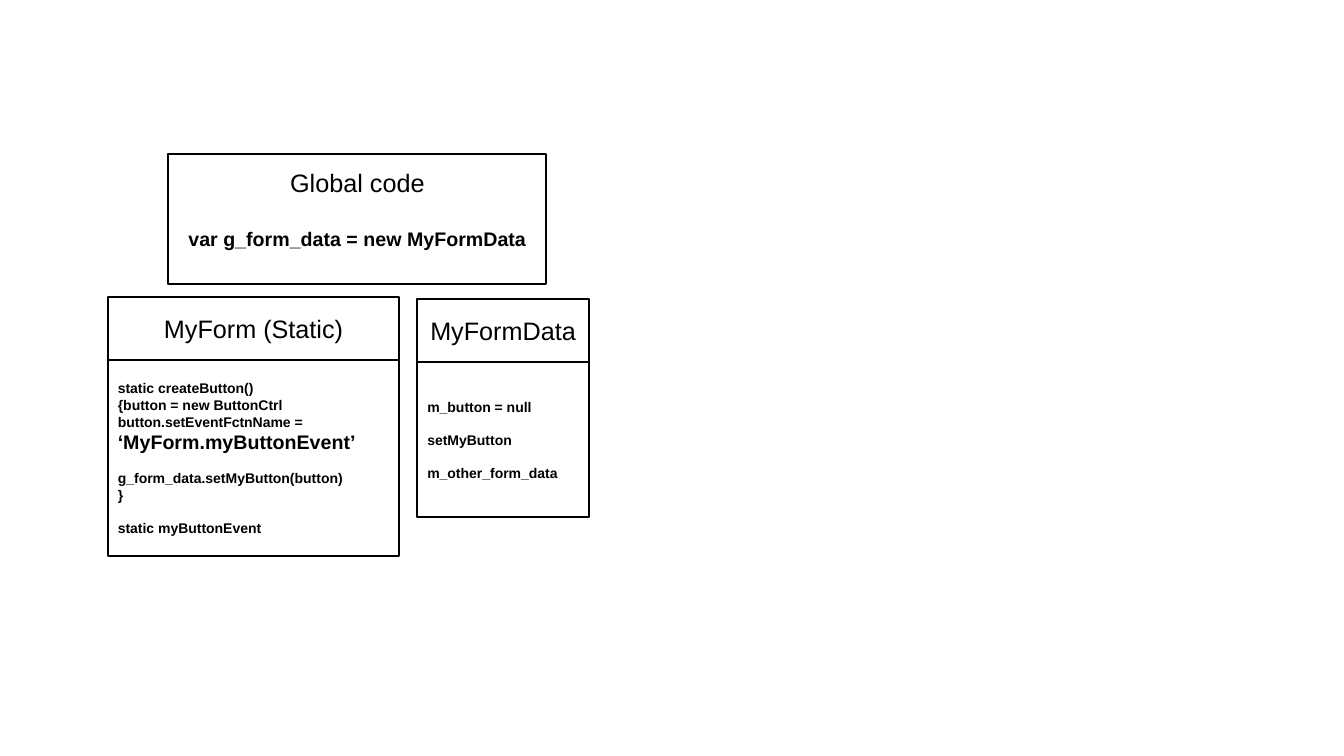
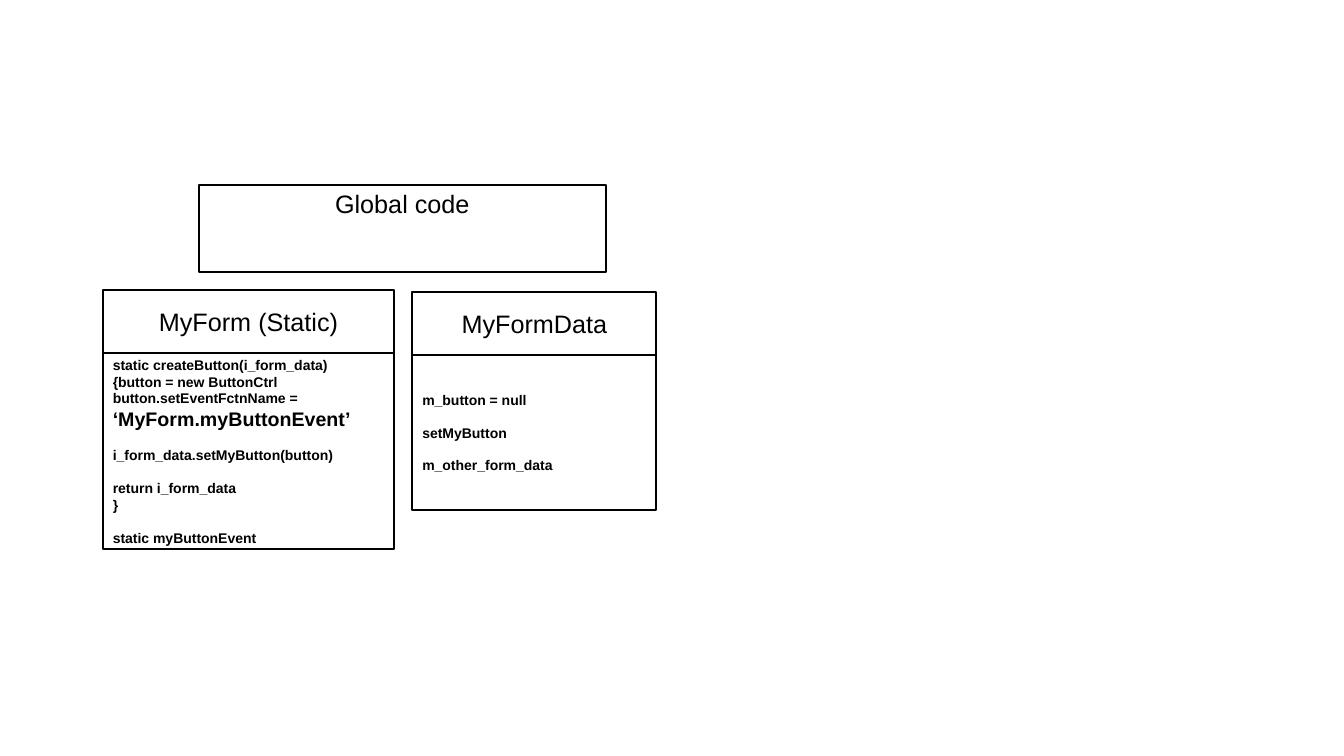
from dataclasses import dataclass

from pptx import Presentation
from pptx.dml.color import RGBColor
from pptx.enum.shapes import MSO_SHAPE
from pptx.enum.text import MSO_ANCHOR, PP_ALIGN
from pptx.util import Emu, Pt

PX = 9144


@dataclass(frozen=True)
class Theme:
    font: str = "Arial"
    ink: RGBColor = RGBColor(0, 0, 0)
    heading: int = 18
    statement: int = 14
    code: int = 10
    border: float = 1.5
    line_height: float = 1.15
    side_inset: int = 10
    edge_inset: int = 5


@dataclass(frozen=True)
class Box:
    left: int
    top: int
    width: int
    height: int


@dataclass(frozen=True)
class Line:
    text: str
    size: int
    bold: bool = True
    gap: float = 0


THEME = Theme()
HEADER_HEIGHT = 62
CLASS_GAP = 18
CLASS_DROP = 2
FORM_WIDTH, FORM_BODY = 289, 195
DATA_BODY = 154
BLANK_LINE = THEME.code * THEME.line_height


def px(length):
    return Emu(length * PX)


def heading(text):
    return Line(text, THEME.heading, bold=False)


def code(text, spaced=False):
    return Line(text, THEME.code, gap=BLANK_LINE if spaced else 0)


def add_panel(page, box, lines, align=PP_ALIGN.LEFT, anchor=MSO_ANCHOR.MIDDLE,
              top_inset=THEME.edge_inset):
    panel = page.shapes.add_shape(
        MSO_SHAPE.RECTANGLE, px(box.left), px(box.top), px(box.width), px(box.height))
    panel.shadow.inherit = False
    panel.fill.background()
    panel.line.color.rgb = THEME.ink
    panel.line.width = Pt(THEME.border)

    frame = panel.text_frame
    frame.word_wrap = True
    frame.vertical_anchor = anchor
    frame.margin_left = frame.margin_right = px(THEME.side_inset)
    frame.margin_top = px(top_inset)
    frame.margin_bottom = px(THEME.edge_inset)
    for index, line in enumerate(lines):
        para = frame.add_paragraph() if index else frame.paragraphs[0]
        para.alignment = align
        para.space_before = Pt(line.gap)
        span = para.add_run()
        span.text = line.text
        span.font.name = THEME.font
        span.font.size = Pt(line.size)
        span.font.bold = line.bold
        span.font.color.rgb = THEME.ink


def add_global_code(page, box, top_inset, statements=()):
    gap = THEME.heading * THEME.line_height
    lines = [heading("Global code")]
    lines += [Line(text, THEME.statement, gap=gap) for text in statements]
    add_panel(page, box, lines, PP_ALIGN.CENTER, MSO_ANCHOR.TOP, top_inset)


def add_class(page, box, name, members):
    header = Box(box.left, box.top, box.width, HEADER_HEIGHT)
    body = Box(box.left, box.top + HEADER_HEIGHT, box.width, box.height - HEADER_HEIGHT)
    add_panel(page, header, [heading(name)], PP_ALIGN.CENTER)
    add_panel(page, body, members)


def add_class_pair(page, left, top, data_width, create_button):
    form_box = Box(left, top, FORM_WIDTH, HEADER_HEIGHT + FORM_BODY)
    data_box = Box(left + FORM_WIDTH + CLASS_GAP, top + CLASS_DROP,
                   data_width, HEADER_HEIGHT + DATA_BODY)
    form_members = create_button + [code("static myButtonEvent", spaced=True)]
    data_members = [
        code("m_button = null"),
        code("setMyButton", spaced=True),
        code("m_other_form_data", spaced=True),
    ]
    add_class(page, form_box, "MyForm (Static)", form_members)
    add_class(page, data_box, "MyFormData", data_members)


def create_button_code(parameter, closing):
    return [
        code(f"static createButton({parameter})"),
        code("{button = new ButtonCtrl"),
        code("button.setEventFctnName ="),
        Line("‘MyForm.myButtonEvent’", THEME.statement),
    ] + closing + [code("}")]


def add_global_data_page(deck):
    page = deck.slides.add_slide(deck.slide_layouts[6])
    add_global_code(page, Box(167, 153, 375, 129), 13,
                    ["var g_form_data = new MyFormData"])
    closing = [code("g_form_data.setMyButton(button)", spaced=True)]
    add_class_pair(page, 107, 295, 170, create_button_code("", closing))


def add_passed_data_page(deck):
    page = deck.slides.add_slide(deck.slide_layouts[6])
    add_global_code(page, Box(197, 184, 404, 86), 3)
    closing = [
        code("i_form_data.setMyButton(button)", spaced=True),
        code("return i_form_data", spaced=True),
    ]
    add_class_pair(page, 102, 288, 242, create_button_code("i_form_data", closing))


def main():
    deck = Presentation()
    deck.slide_width, deck.slide_height = px(1333), px(750)
    add_global_data_page(deck)
    add_passed_data_page(deck)
    deck.save("out.pptx")


if __name__ == "__main__":
    main()
